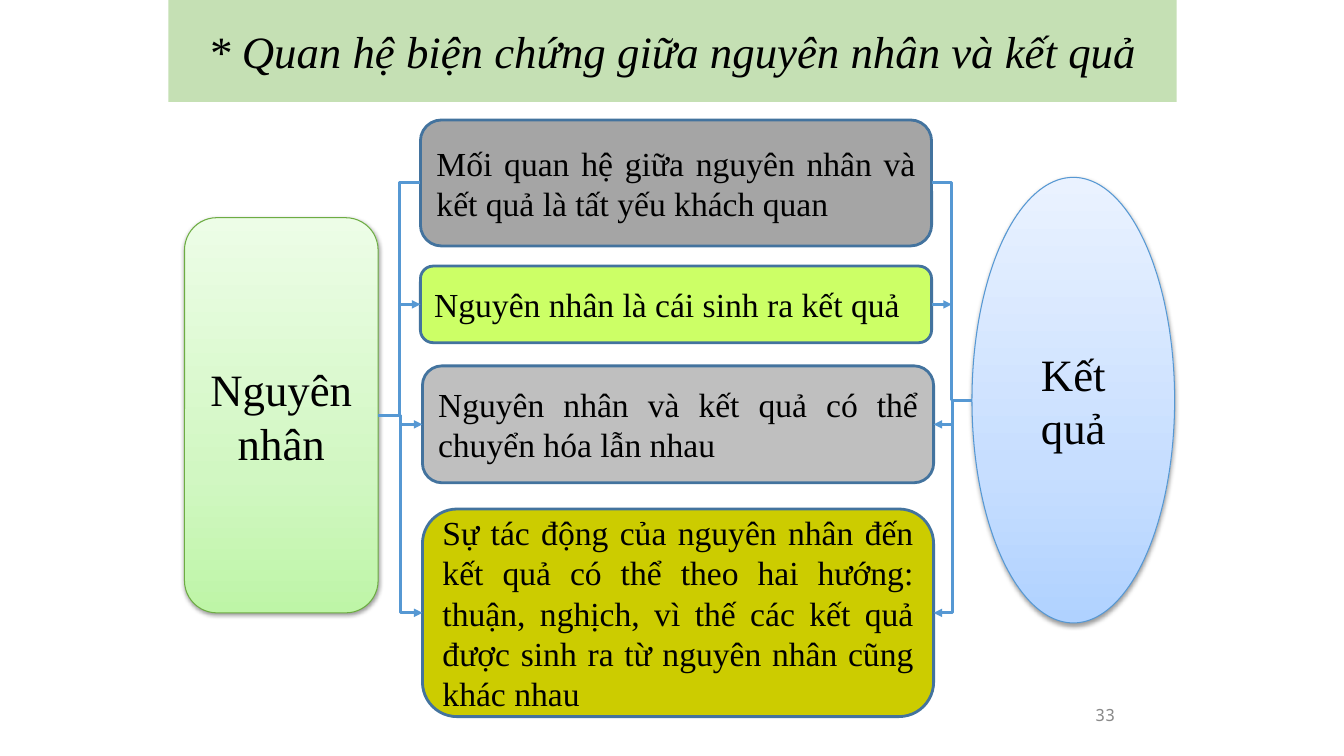
"""Build the slide on the dialectical relation between cause and effect."""
from copy import deepcopy
from dataclasses import dataclass
from typing import Optional

from lxml import etree
from pptx import Presentation
from pptx import util as u
from pptx.dml.color import RGBColor
from pptx.enum import shapes, text
from pptx.oxml.ns import qn

PX = u.Inches(1) // 100
SERIF = "Times New Roman"
BLACK = RGBColor(0x00, 0x00, 0x00)
NUMBER_GREY = RGBColor(0x89, 0x89, 0x89)
TITLE_GREEN = RGBColor(0xC5, 0xE0, 0xB4)
BLUE = RGBColor(0x56, 0x98, 0xD3)
GREEN = RGBColor(0x6D, 0xAC, 0x43)
BOX_EDGE = RGBColor(0x43, 0x73, 0x9E)
DARK_GREY = RGBColor(0xA5, 0xA5, 0xA5)
LIME = RGBColor(0xCC, 0xFF, 0x66)
LIGHT_GREY = RGBColor(0xBF, 0xBF, 0xBF)
OLIVE = RGBColor(0xCC, 0xCC, 0x00)
BLUE_STOPS = (RGBColor(0xB0, 0xD2, 0xFF), RGBColor(0xC7, 0xDE, 0xFF), RGBColor(0xEA, 0xF2, 0xFF))
GREEN_STOPS = (RGBColor(0xBE, 0xF5, 0xA7), RGBColor(0xD1, 0xF7, 0xC2), RGBColor(0xED, 0xFD, 0xE7))
STOP_POSITIONS = (0, 0.35, 1)
ROUNDED = shapes.MSO_SHAPE.ROUNDED_RECTANGLE


@dataclass(frozen=True)
class Panel:
    """A filled shape with its wording, placed in px."""

    wording: str
    left: int
    top: int
    width: int
    height: int
    fills: tuple
    edge: Optional[RGBColor] = BOX_EDGE
    edge_pt: float = 2
    kind: shapes.MSO_SHAPE = ROUNDED
    size: int = 24
    align: text.PP_ALIGN = text.PP_ALIGN.JUSTIFY
    italic: bool = False


@dataclass(frozen=True)
class Link:
    """A connector between two points in px."""

    start: tuple
    end: tuple
    arrow: bool = True
    kind: shapes.MSO_CONNECTOR = shapes.MSO_CONNECTOR.ELBOW


CENTER = text.PP_ALIGN.CENTER
EFFECT = Panel("Kết quả", 964, 176, 201, 442, BLUE_STOPS, BLUE, 0.75,
               shapes.MSO_SHAPE.OVAL, 32, CENTER)
CAUSE = Panel("Nguyên nhân", 183, 216, 192, 392, GREEN_STOPS, GREEN, 0.75,
              ROUNDED, 32, CENTER)
NECESSITY = Panel("Mối quan hệ giữa nguyên nhân và kết quả là tất yếu khách quan",
                  417, 119, 507, 125, (DARK_GREY,))
ORIGIN = Panel("Nguyên nhân là cái sinh ra kết quả", 417, 264, 507, 76, (LIME,))
EXCHANGE = Panel("Nguyên nhân và kết quả có thể chuyển hóa lẫn nhau",
                 419, 363, 507, 116, (LIGHT_GREY,))
IMPACT = Panel("Sự tác động của nguyên nhân đến kết quả có thể theo hai hướng: "
               "thuận, nghịch, vì thế các kết quả được sinh ra từ nguyên nhân "
               "cũng khác nhau", 419, 505, 507, 206, (OLIVE,))
TITLE = Panel("* Quan hệ biện chứng giữa nguyên nhân và kết quả",
              167, 0, 1000, 101, (TITLE_GREEN,), None, 0,
              shapes.MSO_SHAPE.RECTANGLE, 32, CENTER, True)


def left_mid(panel: Panel) -> tuple:
    """Return the middle of the left side."""
    return panel.left, panel.top + panel.height // 2


def right_mid(panel: Panel) -> tuple:
    """Return the middle of the right side."""
    return panel.left + panel.width, panel.top + panel.height // 2


def write(frame, wording: str, align, font_name: str, size: int,
          color: RGBColor, italic: bool = False) -> None:
    """Put one styled paragraph into a text frame."""
    frame.word_wrap = True
    frame.vertical_anchor = text.MSO_ANCHOR.MIDDLE
    paragraph = frame.paragraphs[0]
    paragraph.text = wording
    paragraph.alignment = align
    font = paragraph.font
    font.name, font.size, font.italic = font_name, u.Pt(size), italic
    font.color.rgb = color


def add_gradient(shape, colors: tuple) -> None:
    """Fill a shape with three stops rising from its bottom."""
    shape.fill.gradient()
    shape.fill.gradient_angle = 90
    stop_list = shape._element.spPr.find(".//" + qn("a:gsLst"))
    stop_list.append(deepcopy(stop_list[-1]))
    for stop, color, position in zip(shape.fill.gradient_stops, colors, STOP_POSITIONS):
        stop.color.rgb = color
        stop.position = position


def add_shadow(shape) -> None:
    """Give a shape a soft shadow below it."""
    effects = shape._element.spPr.find(qn("a:effectLst"))
    shadow = etree.SubElement(effects, qn("a:outerShdw"), blurRad="40000",
                              dist="20000", dir="5400000", rotWithShape="0")
    black = etree.SubElement(shadow, qn("a:srgbClr"), val="000000")
    etree.SubElement(black, qn("a:alpha"), val="38000")


def add_panel(slide, panel: Panel):
    """Draw a panel and return its shape."""
    shape = slide.shapes.add_shape(
        panel.kind, *(n * PX for n in (panel.left, panel.top, panel.width, panel.height)))
    shape.shadow.inherit = False
    if len(panel.fills) > 1:
        add_gradient(shape, panel.fills)
        add_shadow(shape)
    else:
        shape.fill.solid()
        shape.fill.fore_color.rgb = panel.fills[0]
    if panel.edge is None:
        shape.line.fill.background()
    else:
        shape.line.color.rgb = panel.edge
        shape.line.width = u.Pt(panel.edge_pt)
    write(shape.text_frame, panel.wording, panel.align, SERIF, panel.size, BLACK, panel.italic)
    return shape


def add_link(slide, link: Link):
    """Draw a link and return its connector."""
    connector = slide.shapes.add_connector(
        link.kind, *(n * PX for n in link.start + link.end))
    connector.line.color.rgb = BLUE
    connector.line.width = u.Pt(2)
    if link.arrow:
        etree.SubElement(connector.line._get_or_add_ln(), qn("a:tailEnd"), type="triangle")
    etree.SubElement(connector._element.spPr, qn("a:effectLst"))
    return connector


def main() -> None:
    """Build and save the slide."""
    deck = Presentation()
    deck.slide_width, deck.slide_height = u.Inches(13.33), u.Inches(7.5)
    slide = deck.slides.add_slide(deck.slide_layouts[6])

    page_number = slide.shapes.add_textbox(883 * PX, 683 * PX, 233 * PX, 52 * PX)
    write(page_number.text_frame, "33", text.PP_ALIGN.RIGHT, "Noto Sans Mono", 12, NUMBER_GREY)

    for panel in (EFFECT, CAUSE, NECESSITY):
        add_panel(slide, panel)
    origin_box = add_panel(slide, ORIGIN)
    for panel in (EXCHANGE, IMPACT):
        add_panel(slide, panel)

    for panel in (IMPACT, NECESSITY, ORIGIN, EXCHANGE):
        add_link(slide, Link(right_mid(CAUSE), left_mid(panel), panel is not NECESSITY))
    for panel in (IMPACT, NECESSITY, EXCHANGE):
        add_link(slide, Link(left_mid(EFFECT), right_mid(panel), panel is not NECESSITY))

    add_panel(slide, TITLE)
    origin_right, origin_middle = right_mid(ORIGIN)
    origin_link = add_link(slide, Link((origin_right, origin_middle), (944, origin_middle),
                                       kind=shapes.MSO_CONNECTOR.STRAIGHT))
    origin_link.begin_connect(origin_box, 3)
    deck.save("out.pptx")


if __name__ == "__main__":
    main()
